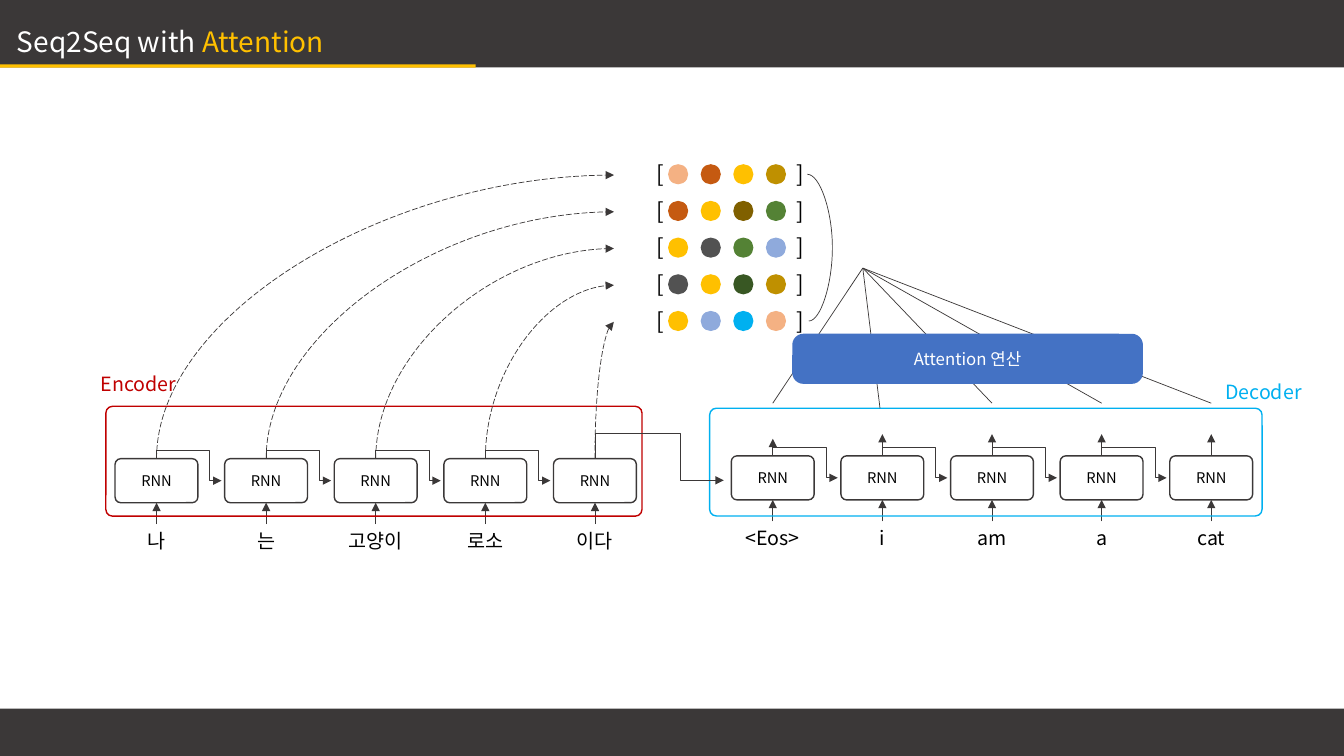
from lxml.etree import SubElement
from pptx import Presentation
from pptx.dml.color import RGBColor
from pptx.enum.dml import MSO_LINE
from pptx.enum.shapes import MSO_CONNECTOR as CONNECTOR, MSO_SHAPE as SHAPE
from pptx.enum.text import MSO_ANCHOR as ANCHOR, PP_ALIGN as ALIGN
from pptx.oxml.ns import qn
from pptx.util import Pt

FONT = "Noto Sans CJK KR"
DARK = RGBColor(0x3B, 0x38, 0x38)
GOLD = RGBColor(0xFF, 0xC0, 0x00)
WHITE = RGBColor(0xFF, 0xFF, 0xFF)
BLACK = RGBColor(0x00, 0x00, 0x00)
RED = RGBColor(0xC0, 0x00, 0x00)
SKY = RGBColor(0x00, 0xB0, 0xF0)
BLUE = RGBColor(0x44, 0x72, 0xC4)
PEACH = RGBColor(0xF4, 0xB1, 0x83)
RUST = RGBColor(0xC5, 0x5A, 0x11)
OCHRE = RGBColor(0xBF, 0x90, 0x00)
BROWN = RGBColor(0x80, 0x60, 0x00)
GREEN = RGBColor(0x54, 0x82, 0x35)
FOREST = RGBColor(0x38, 0x57, 0x23)
GRAY = RGBColor(0x52, 0x52, 0x52)
PERIWINKLE = RGBColor(0x8F, 0xAA, 0xDC)

STATE_ROWS = [
    [PEACH, RUST, GOLD, OCHRE],
    [RUST, GOLD, BROWN, GREEN],
    [GOLD, GRAY, GREEN, PERIWINKLE],
    [GRAY, GOLD, FOREST, OCHRE],
    [GOLD, PERIWINKLE, SKY, PEACH],
]
ROW_PITCH = 26.2
CELL_PITCH = 78.3
CELL_WIDTH, CELL_HEIGHT = 59.2, 31.5
INPUT_GAP = 15.3


def write(paragraph, runs, size, align):
    paragraph.alignment = align
    for text, color in runs:
        run = paragraph.add_run()
        run.text = text
        for name, value in {"name": FONT, "size": Pt(size)}.items():
            setattr(run.font, name, value)
        run.font.color.rgb = color
        SubElement(run.font._element, qn("a:ea")).set("typeface", FONT)


def add_label(slide, box, runs, size, align=ALIGN.CENTER):
    label = slide.shapes.add_textbox(*map(Pt, box))
    label.text_frame.word_wrap = False
    write(label.text_frame.paragraphs[0], runs, size, align)


def add_block(slide, kind, box, fill=None, line=None, corner=None, text=None):
    """Add a preset shape; text is (wording, color, size)."""
    shape = slide.shapes.add_shape(kind, *map(Pt, box))
    shape.shadow.inherit = False
    if fill is None:
        shape.fill.background()
    else:
        shape.fill.solid()
        shape.fill.fore_color.rgb = fill
    if line is None:
        shape.line.fill.background()
    else:
        shape.line.color.rgb = line
        shape.line.width = Pt(1)
    if corner is not None:
        shape.adjustments[0] = corner
    if text:
        wording, color, size = text
        shape.text_frame.vertical_anchor = ANCHOR.MIDDLE
        write(shape.text_frame.paragraphs[0], [(wording, color)], size, ALIGN.CENTER)


def add_line(slide, start, end, kind=CONNECTOR.STRAIGHT, arrow=True, dash=None):
    line = slide.shapes.add_connector(kind, *map(Pt, (*start, *end)))
    line.line.color.rgb = DARK
    line.line.width = Pt(0.5)
    if dash:
        line.line.dash_style = dash
    if arrow:
        SubElement(line.line._ln, qn("a:tailEnd")).set("type", "triangle")
    SubElement(line._element.spPr, qn("a:effectLst"))
    return line


def reshape(line, preset=None, adjustments=(), **transform):
    """Give a connector its preset, adjustments (in thousandths) and rotation."""
    properties = line._element.spPr
    geometry = properties.find(qn("a:prstGeom"))
    if preset:
        geometry.set("prst", preset)
    for number, value in enumerate(adjustments, 1):
        guide = SubElement(geometry.find(qn("a:avLst")), qn("a:gd"))
        guide.set("name", f"adj{number}")
        guide.set("fmla", f"val {value * 100}")
    for name, value in transform.items():
        properties.find(qn("a:xfrm")).set(name, value)


def add_turned_line(slide, start, end, kind, dash=None, **form):
    """Add a connector that leaves vertically, as a quarter-turned frame."""
    middle_x, middle_y = (start[0] + end[0]) / 2, (start[1] + end[1]) / 2
    half_width, half_height = abs(end[0] - start[0]) / 2, abs(end[1] - start[1]) / 2
    line = add_line(slide, (middle_x - half_height, middle_y - half_width),
                    (middle_x + half_height, middle_y + half_width), kind, dash=dash)
    reshape(line, **form)


def add_step_link(slide, start, end, adjustments):
    add_turned_line(slide, start, end, CONNECTOR.ELBOW, preset="bentConnector4",
                    adjustments=adjustments, rot="16200000", flipH="1")


def add_frame(slide, width, height, title):
    """Place the header, footer and title in the slide area."""
    for box, color in [((0, 0, width, 48.2), DARK),
                       ((0, 506.2, width, height - 506.2), DARK),
                       ((0, 46.1, 339.8, 2.2), GOLD)]:
        add_block(slide, SHAPE.RECTANGLE, box, fill=color)
    add_label(slide, (5, 13.7, 553, 31.7), title, 20, ALIGN.LEFT)


def add_rnn_chain(slide, box, first, cell_top, words, color, output_rises=()):
    """Draw a row of RNN cells in the box; return the top centre of each cell."""
    left, top, width, height = box
    tops = [(left + first + i * CELL_PITCH, top + cell_top) for i in range(len(words))]
    for word, (x, y) in zip(words, tops):
        cell_left, bottom = x - CELL_WIDTH / 2, y + CELL_HEIGHT
        add_block(slide, SHAPE.ROUNDED_RECTANGLE,
                  (cell_left, y, CELL_WIDTH, CELL_HEIGHT),
                  line=DARK, corner=0.13, text=("RNN", BLACK, 10.5))
        add_line(slide, (x, bottom + INPUT_GAP), (x, bottom))
        add_label(slide, (cell_left, bottom + INPUT_GAP, CELL_WIDTH, 24.2),
                  [(word, BLACK)], 14)
    for x, y in tops[:-1]:
        add_step_link(slide, (x, y), (x + 46.4, y + CELL_HEIGHT / 2), (-363, 819))
    for rise, (x, y) in zip(output_rises, tops):
        add_line(slide, (x, y), (x, y - rise))
    add_block(slide, SHAPE.ROUNDED_RECTANGLE, box, line=color, corner=0.062)
    return tops


def add_state_vectors(slide, left, top):
    for i, colors in enumerate(STATE_ROWS):
        row_top = top + i * ROW_PITCH
        for j, color in enumerate(colors):
            add_block(slide, SHAPE.OVAL,
                      (left + 15 + j * 23.3, row_top + 6.4, 14.4, 14.4), fill=color)
        for bracket, offset in (("[", 0), ("]", 99.4)):
            add_label(slide, (left + offset, row_top, 15, 26.6), [(bracket, BLACK)], 16)
    brace_top = top + 13.6
    brace = add_line(slide, (left + 114.5, brace_top),
                     (left + 115.5, brace_top + 4 * ROW_PITCH),
                     CONNECTOR.CURVE, arrow=False)
    reshape(brace, adjustments=[18000])


def add_attention(slide, box, apex, targets):
    for target in targets:
        add_line(slide, apex, target, arrow=False)
    add_block(slide, SHAPE.ROUNDED_RECTANGLE, box, fill=BLUE, corner=0.224,
              text=("Attention 연산", WHITE, 12))


def main():
    presentation = Presentation()
    presentation.slide_width, presentation.slide_height = Pt(960), Pt(540)
    slide = presentation.slides.add_slide(presentation.slide_layouts[6])
    add_frame(slide, 960, 540, [("Seq2Seq with ", WHITE), ("Attention", GOLD)])

    encoder = add_rnn_chain(slide, (75.6, 290.2, 383, 78.5), 36.2, 37.4,
                            ["나", "는", "고양이", "로소", "이다"], RED)
    add_label(slide, (60.5, 262.1, 77, 24.5), [("Encoder", RED)], 14)
    for i, start in enumerate(encoder):
        add_turned_line(slide, start, (438.5, 125.1 + i * ROW_PITCH), CONNECTOR.CURVE,
                        MSO_LINE.LONG_DASH, preset="curvedConnector2",
                        rot="5400000", flipH="1", flipV="1")
    add_state_vectors(slide, 462.2, 110.9)

    decoder = add_rnn_chain(slide, (506.9, 291.6, 394.6, 77), 45.1, 34,
                            ["<Eos>", "i", "am", "a", "cat"], SKY,
                            [12.2, 15.5, 15.5, 15.5, 15.5])
    add_step_link(slide, encoder[-1], (517, 343.1), (-1148, 661))
    targets = [(x, 288) for x, _ in decoder]
    targets[1] = (628.6, 291.6)
    add_attention(slide, (565.9, 238.4, 250.5, 35.8), (616.3, 191.5), targets)
    add_label(slide, (864, 267.8, 77, 24.5), [("Decoder", SKY)], 14)
    presentation.save("out.pptx")


if __name__ == "__main__":
    main()
